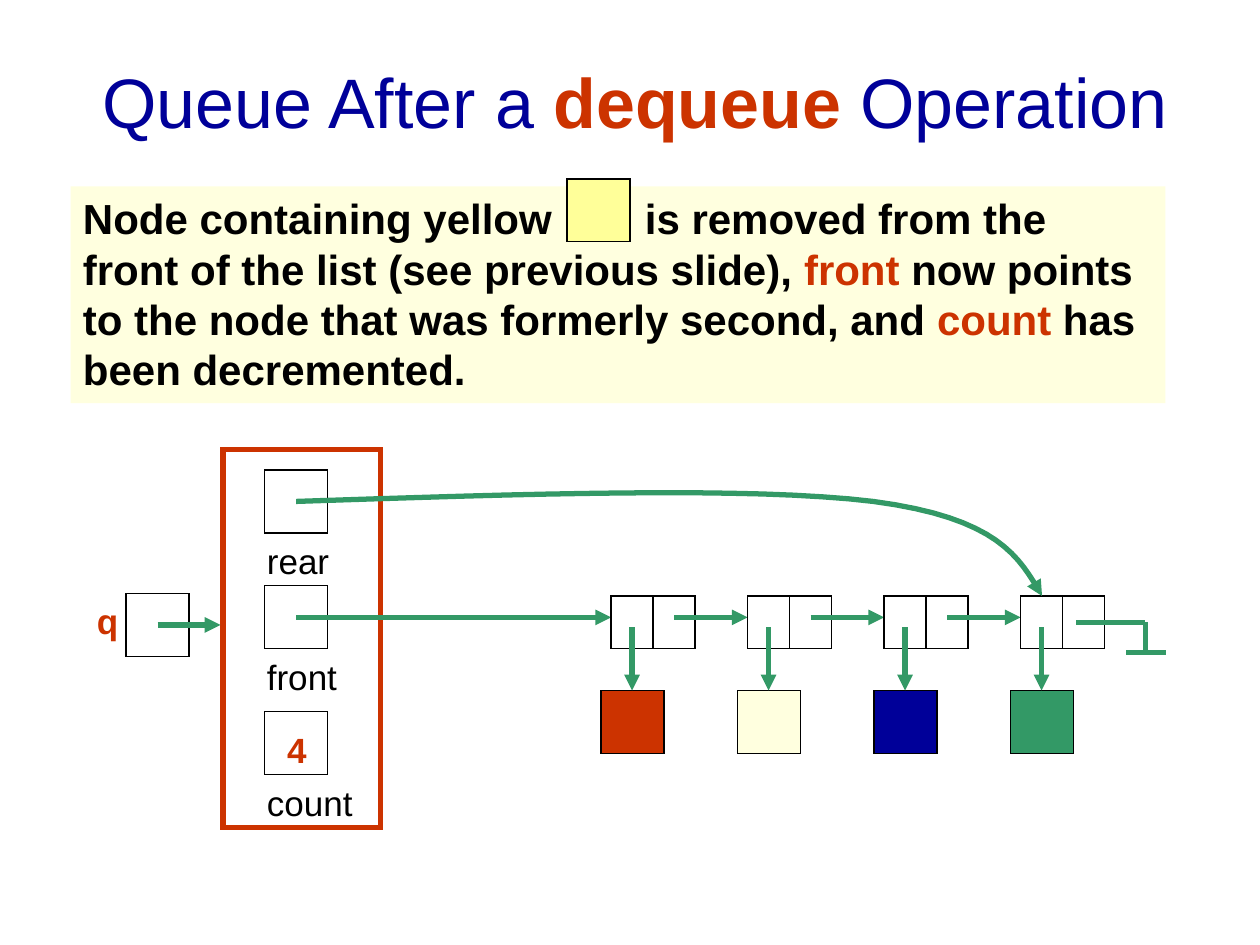
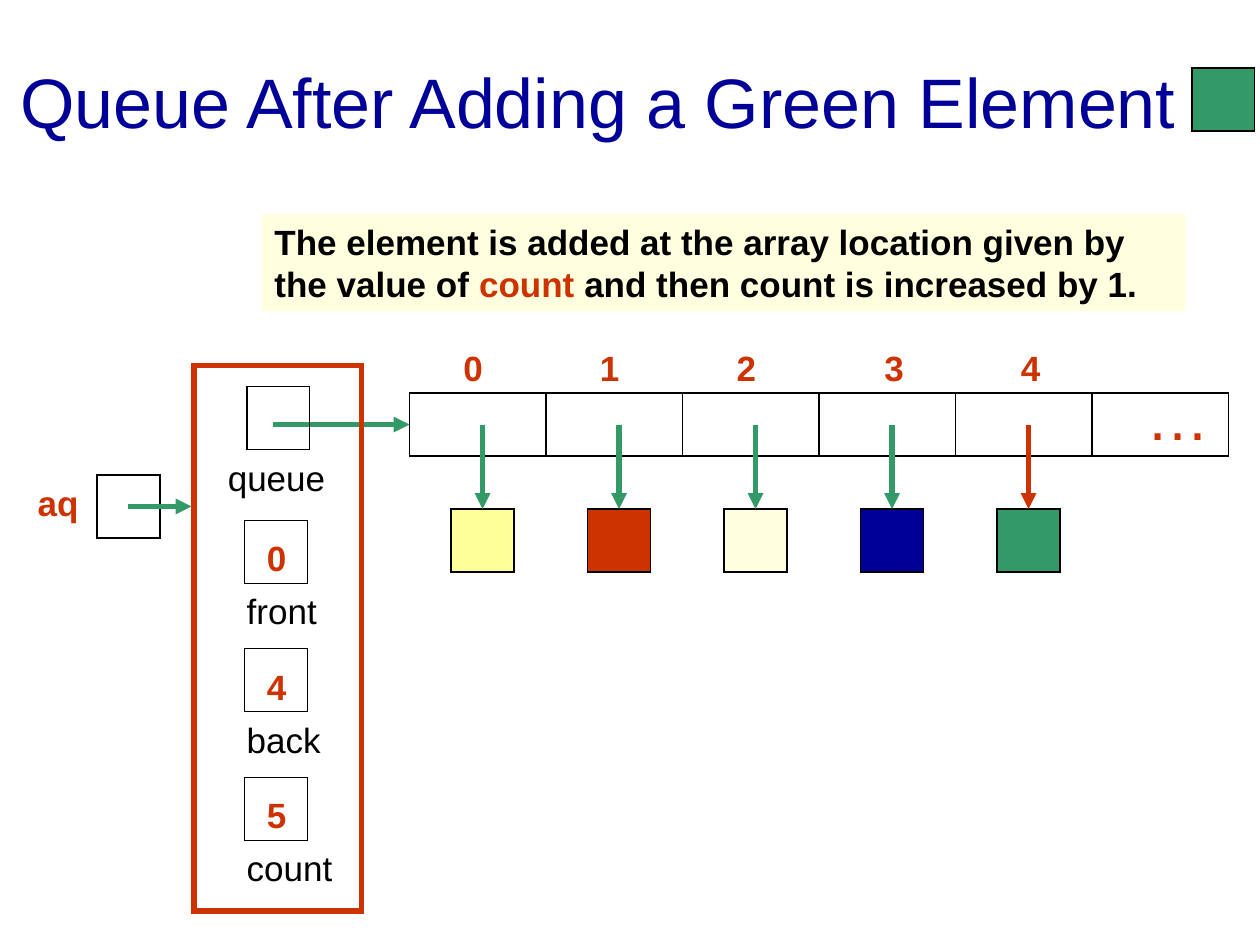
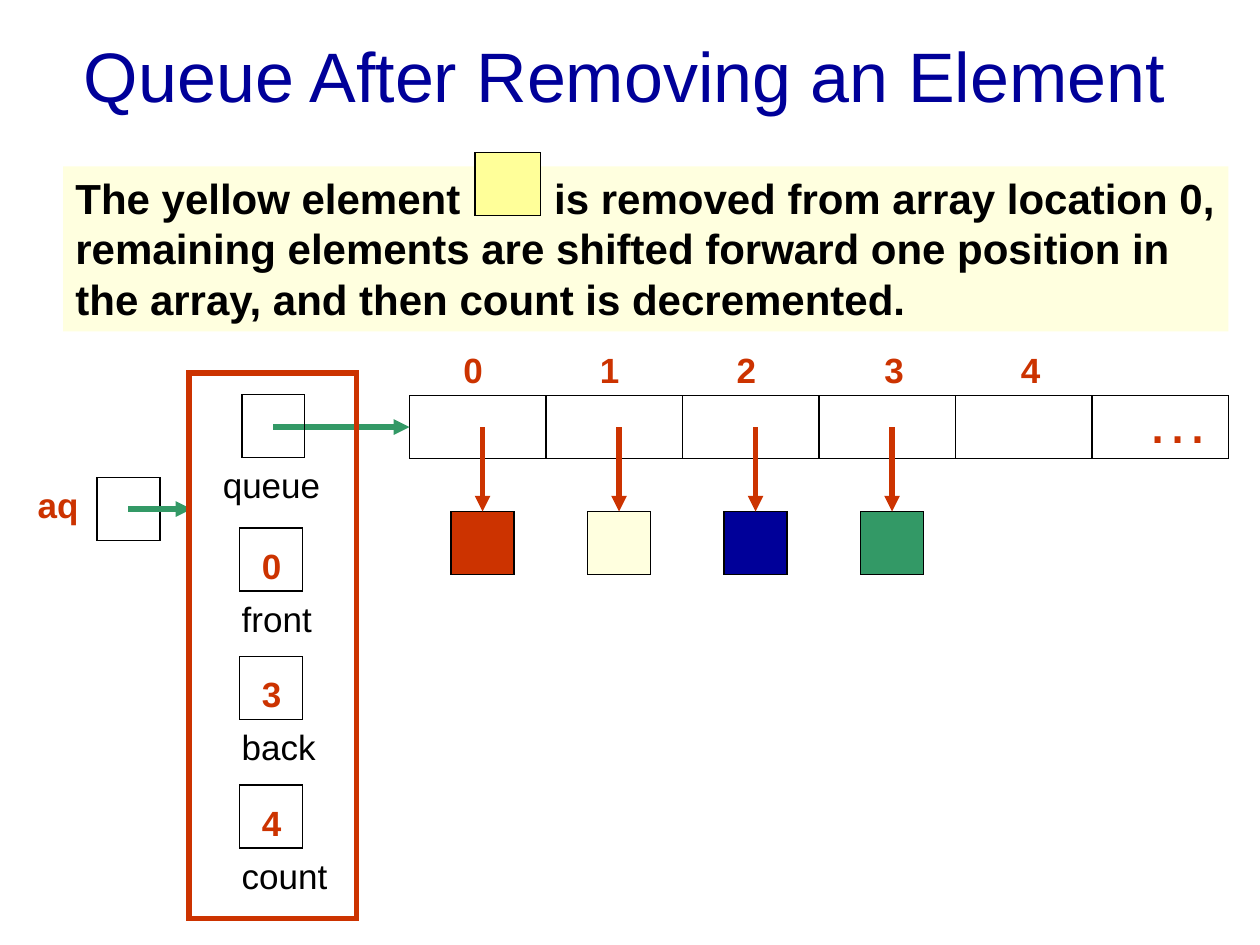
from lxml.etree import SubElement
from pptx import Presentation
from pptx.dml.color import RGBColor
from pptx.enum.shapes import MSO_CONNECTOR, MSO_SHAPE
from pptx.enum.text import MSO_ANCHOR, MSO_AUTO_SIZE, PP_ALIGN
from pptx.oxml.ns import qn
from pptx.util import Inches, Pt

FONT = "Arial"
BLACK, RED, GREEN, BLUE = "000000", "CC3300", "339966", "000099"
CREAM, YELLOW = "FFFFDF", "FFFF99"

SIDE = 0.5            # square boxes
HALF = SIDE / 2
PITCH = 13 / 12       # distance between neighbouring elements
CELL_WIDTH, CELL_HEIGHT = 1 / 3, 0.42

# Text between asterisks is accented; a tab leaves room for the swatch.
LINKED_SLIDE = {
    "title": "Queue After a *dequeue* Operation",
    "title_at": (0.51, 0.17, 9.06, 1.25),
    "note": "Node containing yellow\tis removed from the front of the list "
            "(see previous slide), *front* now points to the node that was "
            "formerly second, and *count* has been decremented.",
    "note_at": (0.56, 1.48, 8.69, 1.72), "note_size": 24, "note_tab": 4.46,
    "swatch": YELLOW, "swatch_at": (4.5, 1.42, SIDE, SIDE),
}
LINKED_FIELDS = [("rear", None, 3.73), ("front", None, 4.65), ("count", "4", 5.65)]
LINKED_ELEMENTS = [RED, CREAM, BLUE, GREEN]

ARRAY_SLIDES = [
    {
        "title": "Queue After Adding a Green Element",
        "title_at": (0, 0.17, 9.49, 1.25),
        "note": "The element is added at the array location given by the value "
                "of *count *and then count is increased by 1.",
        "note_at": (2.08, 1.7, 7.33, 0.77), "note_size": 20, "note_tab": None,
        "swatch": GREEN, "swatch_at": (9.46, 0.54, SIDE, SIDE),
        "array_top": 3.12, "record_at": (1.54, 2.9),
        "elements": [YELLOW, RED, CREAM, BLUE, GREEN],
        "arrows": [GREEN] * 4 + [RED],
        "fields": [("front", "0"), ("back", "4"), ("count", "5")],
    },
    {
        "title": "Queue After Removing an Element",
        "title_at": (0.33, 0.13, 9.25, 0.92),
        "note": "The yellow element\tis removed from array location 0, remaining "
                "elements are shifted forward one position in the array, and "
                "then count is decremented.",
        "note_at": (0.5, 1.32, 9.25, 1.31), "note_size": 24, "note_tab": 3.8,
        "swatch": YELLOW, "swatch_at": (3.77, 1.21, 0.52, SIDE),
        "array_top": 3.14, "record_at": (1.5, 2.96),
        "elements": [RED, CREAM, BLUE, GREEN],
        "arrows": [RED] * 4,
        "fields": [("front", "0"), ("back", "3"), ("count", "4")],
    },
]


def color(value):
    return RGBColor.from_string(value)


def inches(values):
    return [Inches(value) for value in values]


def write(para, text, size, shade, bold=False):
    """Fill a paragraph, turning text between asterisks red and bold."""
    para.font.name, para.font.size = FONT, Pt(size)
    para.font.bold, para.font.color.rgb = bold, color(shade)
    for number, part in enumerate(text.split("*")):
        if part:
            span = para.add_run()
            span.text = part
            if number % 2:
                span.font.bold, span.font.color.rgb = True, color(RED)


def add_rect(slide, at, fill=None, line=BLACK, width=0.75):
    box = slide.shapes.add_shape(MSO_SHAPE.RECTANGLE, *inches(at))
    box.shadow.inherit = False
    if fill:
        box.fill.solid()
        box.fill.fore_color.rgb = color(fill)
    else:
        box.fill.background()
    if line:
        box.line.color.rgb, box.line.width = color(line), Pt(width)
        SubElement(box.line._get_or_add_ln(), qn("a:miter"), lim="800000")
    else:
        box.line.fill.background()
    return box


def add_square(slide, left, top, fill=None):
    add_rect(slide, (left, top, SIDE, SIDE), fill)


def add_label(slide, text, left, top, size=20, shade=BLACK, bold=False,
              width=1.0, height=0.43):
    box = slide.shapes.add_textbox(*inches((left, top, width, height)))
    box.text_frame.word_wrap = True
    write(box.text_frame.paragraphs[0], text, size, shade, bold)


def style_line(shape, shade, arrow):
    shape.line.color.rgb, shape.line.width = color(shade), Pt(3)
    if arrow:
        SubElement(shape.line._get_or_add_ln(), qn("a:tailEnd"), type="triangle")


def add_line(slide, start, end, shade=GREEN, arrow=True):
    line = slide.shapes.add_connector(MSO_CONNECTOR.STRAIGHT, *inches(start + end))
    style_line(line, shade, arrow)
    SubElement(line._element.spPr, qn("a:effectLst"))


def bezier(start, first, second, end, steps=16):
    """Points along a cubic curve, leaving out its start."""
    points = []
    for step in range(1, steps + 1):
        t = step / steps
        weights = ((1 - t) ** 3, 3 * t * (1 - t) ** 2, 3 * t * t * (1 - t), t ** 3)
        points.append(tuple(
            sum(weight * value for weight, value in zip(weights, axis))
            for axis in zip(start, first, second, end)))
    return points


def add_curve(slide, start, *segments):
    """Draw a curved arrow; each segment is two control points and an end."""
    builder = slide.shapes.build_freeform(*inches(start))
    for segment in segments:
        points = [inches(point) for point in bezier(start, *segment)]
        builder.add_line_segments(points, close=False)
        start = segment[-1]
    curve = builder.convert_to_shape()
    curve.shadow.inherit = False
    curve.fill.background()
    style_line(curve, GREEN, arrow=True)


def add_slide(deck, content):
    """Start a slide with its title, note and swatch."""
    slide = deck.slides.add_slide(deck.slide_layouts[5])
    title = slide.shapes.title
    title.left, title.top, title.width, title.height = inches(content["title_at"])
    title.text_frame.auto_size = MSO_AUTO_SIZE.NONE
    title.text_frame.vertical_anchor = MSO_ANCHOR.MIDDLE
    para = title.text_frame.paragraphs[0]
    para.alignment = PP_ALIGN.CENTER
    write(para, content["title"], 40, BLUE)

    frame = add_rect(slide, content["note_at"], CREAM, line=None).text_frame
    frame.word_wrap = True
    frame.vertical_anchor = MSO_ANCHOR.TOP
    para = frame.paragraphs[0]
    para.alignment = PP_ALIGN.LEFT
    if content["note_tab"]:
        tabs = SubElement(para._p.get_or_add_pPr(), qn("a:tabLst"))
        SubElement(tabs, qn("a:tab"), pos=str(Inches(content["note_tab"])), algn="l")
    write(para, content["note"], content["note_size"], BLACK, bold=True)
    add_rect(slide, content["swatch_at"], content["swatch"])
    return slide


def add_field(slide, name, value, left, top, name_shift=-0.08):
    add_square(slide, left, top)
    add_label(slide, name, left + name_shift, top + SIDE)
    if value:
        add_label(slide, value, left + 0.08, top + 0.08, shade=RED, bold=True, width=0.39)


def add_variable(slide, name, name_left, left, top):
    add_label(slide, name, name_left, top, shade=RED, bold=True, width=0.74)
    add_square(slide, left, top)
    middle = top + HALF
    add_line(slide, (left + HALF, middle), (left + HALF + 0.5, middle))


def add_linked_queue(slide):
    add_rect(slide, (1.77, 3.57, 1.25, 3), line=RED, width=3)
    for name, value, top in LINKED_FIELDS:
        add_field(slide, name, value, 2.1, top)

    first_left, top, element_top, link_y = 4.85, 4.73, 5.48, 4.9
    add_line(slide, (2.35, link_y), (first_left, link_y))
    for number, fill in enumerate(LINKED_ELEMENTS):
        left = first_left + number * PITCH
        add_square(slide, left - 0.08, element_top, fill)
        for cell in range(2):
            add_rect(slide, (left + cell * CELL_WIDTH, top, CELL_WIDTH, CELL_HEIGHT))
        center = left + CELL_WIDTH / 2
        add_line(slide, (center, 4.98), (center, element_top))
        if number < len(LINKED_ELEMENTS) - 1:
            add_line(slide, (left + 0.5, link_y), (left + PITCH, link_y))

    add_curve(slide, (2.35, 3.98),
              ((4.15, 3.92), (5.95, 3.86), (6.93, 3.98)),
              ((7.92, 4.11), (8.09, 4.42), (8.27, top)))
    add_variable(slide, "q", 0.67, 1.0, 4.71)
    null_link = [((8.54, 4.94), (9.09, 4.94)), ((9.09, 4.94), (9.09, 5.18)),
                 ((8.94, 5.18), (9.25, 5.18))]
    for start, end in null_link:
        add_line(slide, start, end, arrow=False)


def add_array_queue(slide, content):
    first_left, top = 3.25, content["array_top"]
    middle, element_top = top + HALF, top + 0.92
    for number in range(6):
        add_rect(slide, (first_left + number * PITCH, top, PITCH, SIDE))
    for index in range(5):
        shift = 0.33 if index < 3 else 0.42
        add_label(slide, str(index), first_left + index * PITCH + shift, top - 0.42,
                  shade=RED, bold=True, width=0.39)
    add_label(slide, "…", 9, top - 0.17, size=36, shade=RED, width=0.67, height=0.7)
    add_line(slide, (2.17, middle), (first_left, middle))
    for number, (fill, shade) in enumerate(zip(content["elements"], content["arrows"])):
        left = first_left + 0.33 + number * PITCH
        add_square(slide, left, element_top, fill)
        add_line(slide, (left + HALF, middle), (left + HALF, element_top), shade)

    add_variable(slide, "aq", 0.2, 0.77, top + 0.65)
    left, top = content["record_at"]
    add_field(slide, "queue", None, left + 0.42, top + 0.17, name_shift=-0.25)
    add_rect(slide, (left, top, 1.33, 4.33), line=RED, width=3)
    for number, (name, value) in enumerate(content["fields"]):
        add_field(slide, name, value, left + 0.4, top + 1.23 + number * 1.02)


def main():
    deck = Presentation()
    deck.slide_width, deck.slide_height = Inches(10), Inches(7.5)
    add_linked_queue(add_slide(deck, LINKED_SLIDE))
    for content in ARRAY_SLIDES:
        add_array_queue(add_slide(deck, content), content)
    deck.save("out.pptx")


if __name__ == "__main__":
    main()
